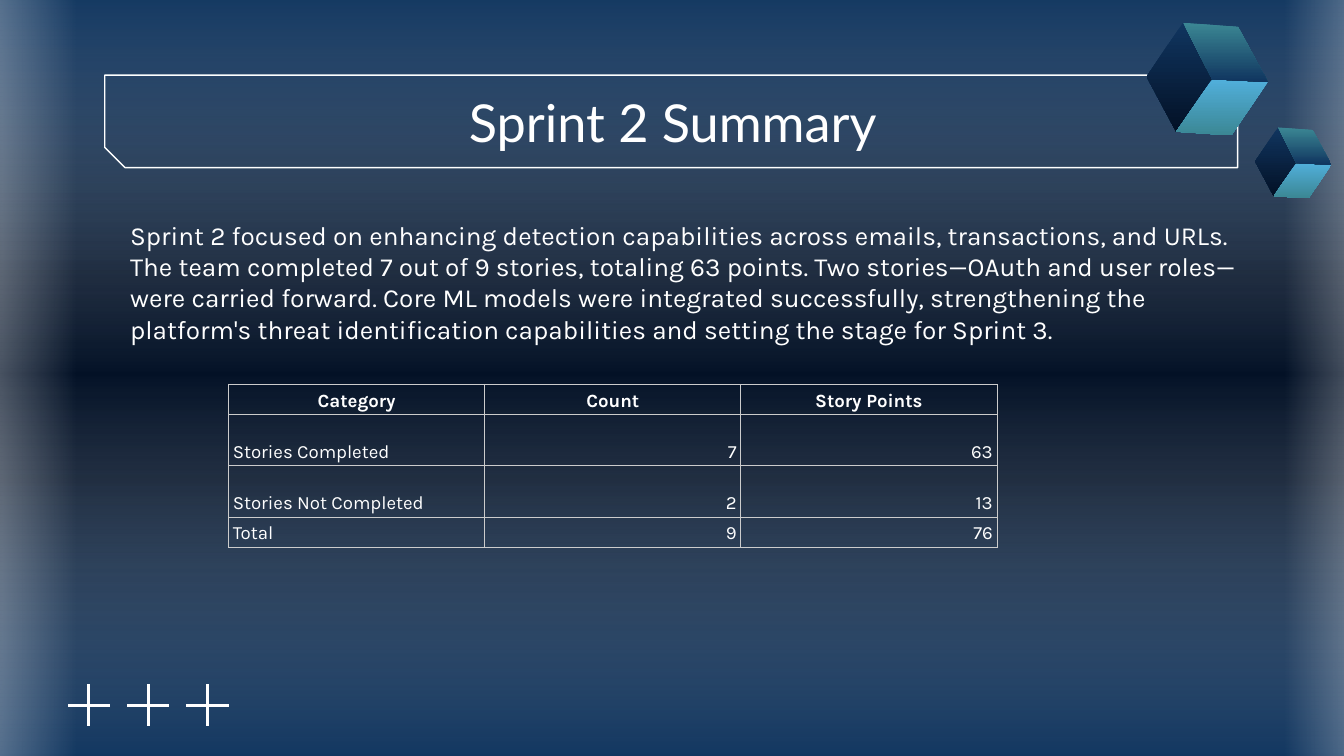
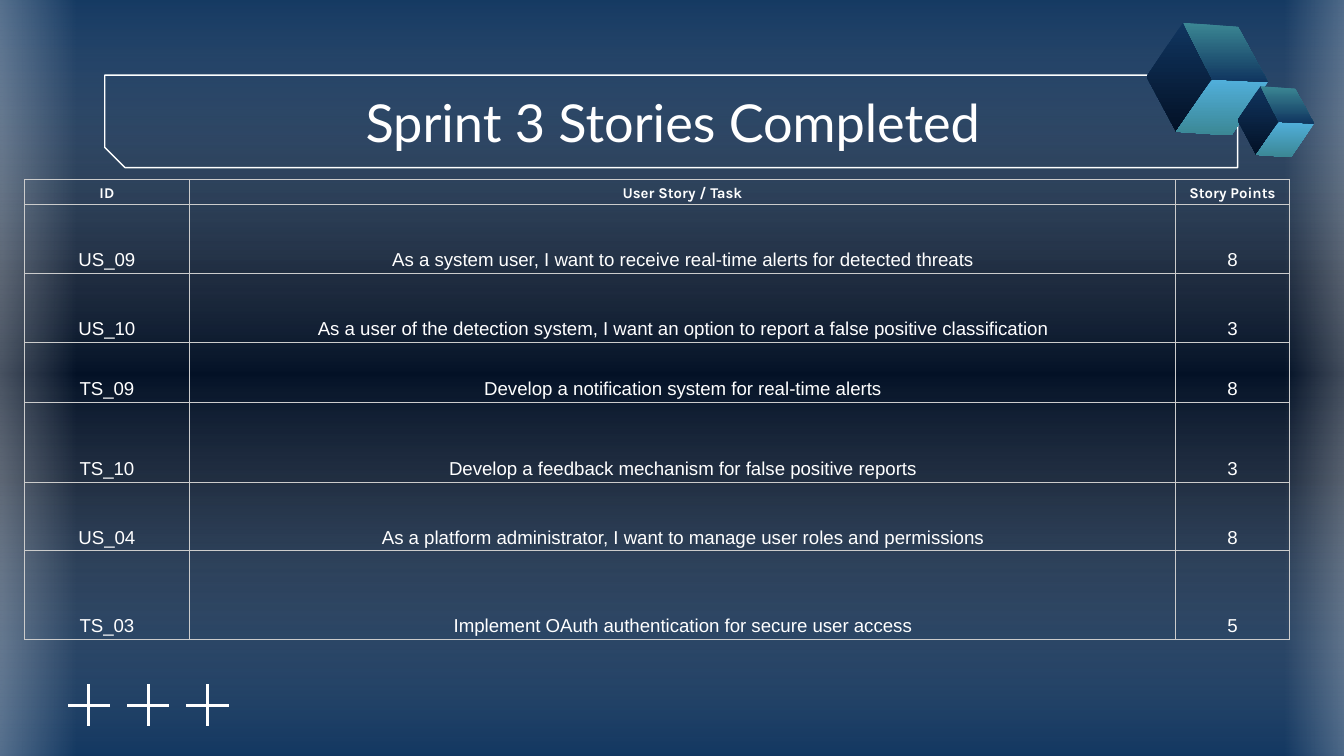
import pptx
import pptx.util
import pptx.dml.color
import pptx.enum.shapes
import pptx.enum.text
import pptx.oxml
import pptx.oxml.ns

Cm, Pt = pptx.util.Cm, pptx.util.Pt
Shape = pptx.enum.shapes.MSO_SHAPE
Align = pptx.enum.text.PP_ALIGN
Anchor = pptx.enum.text.MSO_ANCHOR
qn = pptx.oxml.ns.qn

HUE = {"navy": "10355F", "night": "031126", "white": "FFFFFF",
       "sky": "51AFDB", "teal": "3B8794", "rule": "CCCCCC"}
SIDES = {"l": Align.LEFT, "c": Align.CENTER, "r": Align.RIGHT}

BACK = [(0, "navy", 100), (37, "night", 100), (63, "night", 100), (100, "navy", 100)]
VEIL = [(0, "navy", 59), (50, "white", 0), (100, "navy", 59)]
GLOW = [(0, "white", 47), (100, "white", 0)]
PANELS = [
    ((5.59, -5.92, 14.76, 25.93), 270, VEIL),
    ((-1.04, -0.23, 2.49, 14.73), 180, GLOW),
    ((24.28, -0.33, 2.16, 14.73), 0, GLOW),
]
FRAME = (1.98, 1.42, 21.41, 1.75)
TITLE = (2.01, 1.5, 21.41, 1.6)

PLUS = {"x": 1.68, "y": 13.33, "step": 1.12, "arm": 0.4, "half": 0.03, "count": 3}
CUBE = {"A": (0.69, 0), "B": (0, 1.02), "C": (0.56, 2.06), "D": (1.24, 1.07),
        "E": (2.29, 1.12), "F": (1.6, 2.13), "G": (1.73, 0.08)}
FACES = [("ABCD", "navy", "night"), ("DEFC", "sky", "teal"), ("AGED", "teal", "navy")]
LARGE = (21.67, 0.43, 1)

SLIDES = [
    {
        "title": "Sprint 2 Summary",
        "cube": (23.72, 2.41, 0.63),
        "body": "Sprint 2 focused on enhancing detection capabilities across emails, "
                "transactions, and URLs. The team completed 7 out of 9 stories, totaling "
                "63 points. Two stories—OAuth and user roles—were carried forward. Core ML "
                "models were integrated successfully, strengthening the platform's threat "
                "identification capabilities and setting the stage for Sprint 3.",
        "place": (4.32, 7.26),
        "cols": [4.84, 4.84, 4.84],
        "high": [0.56, 0.97, 0.97, 0.56],
        "align": "lrr",
        "head": ("Karla", 10),
        "font": ("Karla", 10),
        "rows": [
            ("Category", "Count", "Story Points"),
            ("Stories Completed", "7", "63"),
            ("Stories Not Completed", "2", "13"),
            ("Total", "9", "76"),
        ],
    },
    {
        "title": "Sprint 3 Stories Completed",
        "cube": (23.39, 1.63, 0.63),
        "body": "",
        "place": (0.46, 3.39),
        "cols": [3.12, 18.64, 2.15],
        "high": [0.48, 1.3, 1.3, 1.14, 1.5, 1.3, 1.68],
        "align": "ccc",
        "head": ("Karla", 8),
        "font": ("Arial", 10),
        "rows": [
            ("ID", "User Story / Task", "Story Points"),
            ("US_09", "As a system user, I want to receive real-time alerts for detected threats", "8"),
            ("US_10", "As a user of the detection system, I want an option to report a false positive classification", "3"),
            ("TS_09", "Develop a notification system for real-time alerts", "8"),
            ("TS_10", "Develop a feedback mechanism for false positive reports", "3"),
            ("US_04", "As a platform administrator, I want to manage user roles and permissions", "8"),
            ("TS_03", "Implement OAuth authentication for secure user access", "5"),
        ],
    },
]
BODY = (2.21, 3.89, 21.74, 4.04)


def rgb(name):
    return pptx.dml.color.RGBColor.from_string(HUE[name])


def xml(text):
    return pptx.oxml.parse_xml(text.replace(">", f" {pptx.oxml.ns.nsdecls('a')}>", 1))


def blend(fill, host, stops, angle):
    fill.solid()
    old = next(host.iter(qn("a:solidFill")))
    marks = "".join(
        f'<a:gs pos="{pos * 1000}"><a:srgbClr val="{HUE[name]}">'
        f'<a:alpha val="{alpha * 1000}"/></a:srgbClr></a:gs>'
        for pos, name, alpha in stops)
    new = xml(f'<a:gradFill rotWithShape="1"><a:gsLst>{marks}</a:gsLst>'
              f'<a:lin ang="{angle * 60000}" scaled="0"/></a:gradFill>')
    old.getparent().replace(old, new)


def write(frame, text, font, size, align, bold=False):
    para = frame.paragraphs[0]
    para.alignment = align
    run = para.add_run()
    run.text = text
    run.font.name = font
    run.font.size = Pt(size)
    run.font.bold = bold
    run.font.color.rgb = rgb("white")
    return para


def inset(frame):
    frame.word_wrap = True
    frame.auto_size = pptx.enum.text.MSO_AUTO_SIZE.NONE
    frame.margin_left = frame.margin_right = Cm(0.25)
    frame.margin_top = frame.margin_bottom = Cm(0.25)


def add_box(slide, kind, area):
    box = slide.shapes.add_shape(kind, *map(Cm, area))
    box.shadow.inherit = False
    return box


def add_poly(group, points):
    spots = [(Cm(x), Cm(y)) for x, y in points]
    pen = group.shapes.build_freeform(*spots[0])
    pen.add_line_segments(spots[1:], close=True)
    poly = pen.convert_to_shape()
    poly.shadow.inherit = False
    poly.line.fill.background()
    return poly


def add_plus(slide):
    group = slide.shapes.add_group_shape()
    mid, arm, half = PLUS["y"], PLUS["arm"], PLUS["half"]
    for num in reversed(range(PLUS["count"])):
        x = PLUS["x"] + num * PLUS["step"]
        for dx, dy in ((half, arm), (arm, half)):
            bar = add_poly(group, [(x - dx, mid - dy), (x + dx, mid - dy),
                                   (x + dx, mid + dy), (x - dx, mid + dy)])
            bar.fill.solid()
            bar.fill.fore_color.rgb = rgb("white")


def add_cube(slide, left, top, scale):
    group = slide.shapes.add_group_shape()
    for keys, first, last in FACES:
        face = add_poly(group, [(left + CUBE[key][0] * scale, top + CUBE[key][1] * scale)
                                for key in keys])
        blend(face.fill, face.element, [(0, first, 100), (100, last, 100)], 90)


def add_base(slide, text, cube):
    blend(slide.background.fill, slide.element, BACK, 90)
    for area, turn, stops in PANELS:
        panel = add_box(slide, Shape.RECTANGLE, area)
        panel.rotation = turn
        blend(panel.fill, panel.element, stops, 180)
        panel.line.fill.background()

    frame = add_box(slide, Shape.SNIP_2_DIAG_RECTANGLE, FRAME)
    frame.adjustments[0] = 0
    frame.adjustments[1] = 0.22
    frame.fill.background()
    frame.line.color.rgb = rgb("white")
    frame.line.width = Pt(0.75)

    title = slide.shapes.title
    title.left, title.top, title.width, title.height = map(Cm, TITLE)
    slide.shapes.element.append(title.element)
    inset(title.text_frame)
    title.text_frame.vertical_anchor = Anchor.MIDDLE
    write(title.text_frame, text, "Lato", 28, Align.CENTER)

    add_plus(slide)
    add_cube(slide, *LARGE)
    add_cube(slide, *cube)


def add_body(slide, text):
    box = slide.shapes.add_textbox(*map(Cm, BODY))
    inset(box.text_frame)
    write(box.text_frame, text, "Karla", 14, Align.LEFT)


def style_cell(cell):
    cell.fill.background()
    cell.vertical_anchor = Anchor.BOTTOM
    cell.margin_left = cell.margin_right = Cm(0.08)
    cell.margin_top = cell.margin_bottom = Cm(0.05)
    props = cell._tc.get_or_add_tcPr()
    for spot, side in enumerate("LRTB"):
        props.insert(spot, xml(
            f'<a:ln{side} w="{Pt(0.42)}"><a:solidFill>'
            f'<a:srgbClr val="{HUE["rule"]}"/></a:solidFill></a:ln{side}>'))


def add_grid(slide, data):
    rows, cols, high = data["rows"], data["cols"], data["high"]
    area = (*data["place"], sum(cols), sum(high))
    table = slide.shapes.add_table(len(rows), len(cols), *map(Cm, area)).table
    table.first_row = table.horz_banding = False
    for col, width in zip(table.columns, cols):
        col.width = Cm(width)
    for num, (row, height) in enumerate(zip(table.rows, high)):
        row.height = Cm(height)
        head = num == 0
        font, size = data["head"] if head else data["font"]
        for cell, text, side in zip(row.cells, rows[num], data["align"]):
            style_cell(cell)
            align = Align.CENTER if head else SIDES[side]
            para = write(cell.text_frame, text, font, size, align, head)
            para.line_spacing = 1.15


def main():
    deck = pptx.Presentation()
    deck.slide_width, deck.slide_height = Cm(25.4), Cm(14.29)
    for data in SLIDES:
        slide = deck.slides.add_slide(deck.slide_layouts[5])
        add_base(slide, data["title"], data["cube"])
        if data["body"]:
            add_body(slide, data["body"])
        add_grid(slide, data)
    deck.save("out.pptx")


if __name__ == "__main__":
    main()
